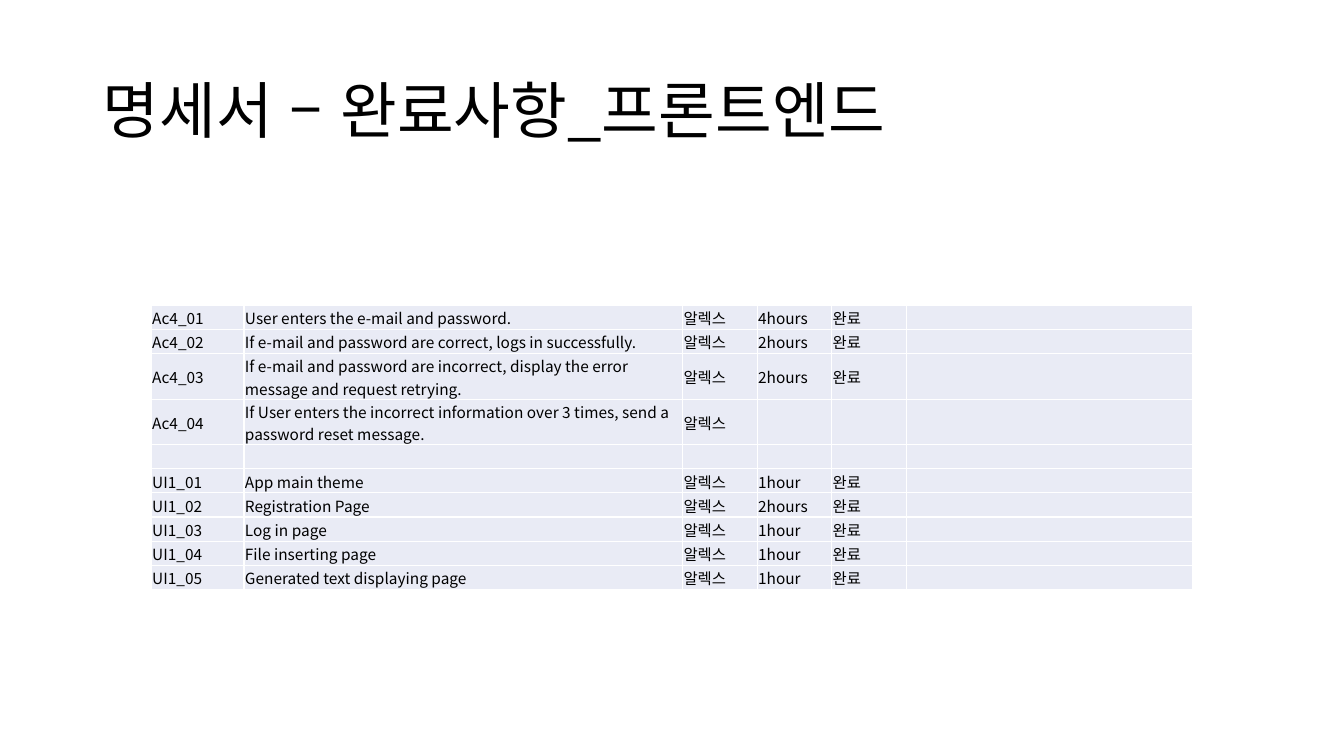
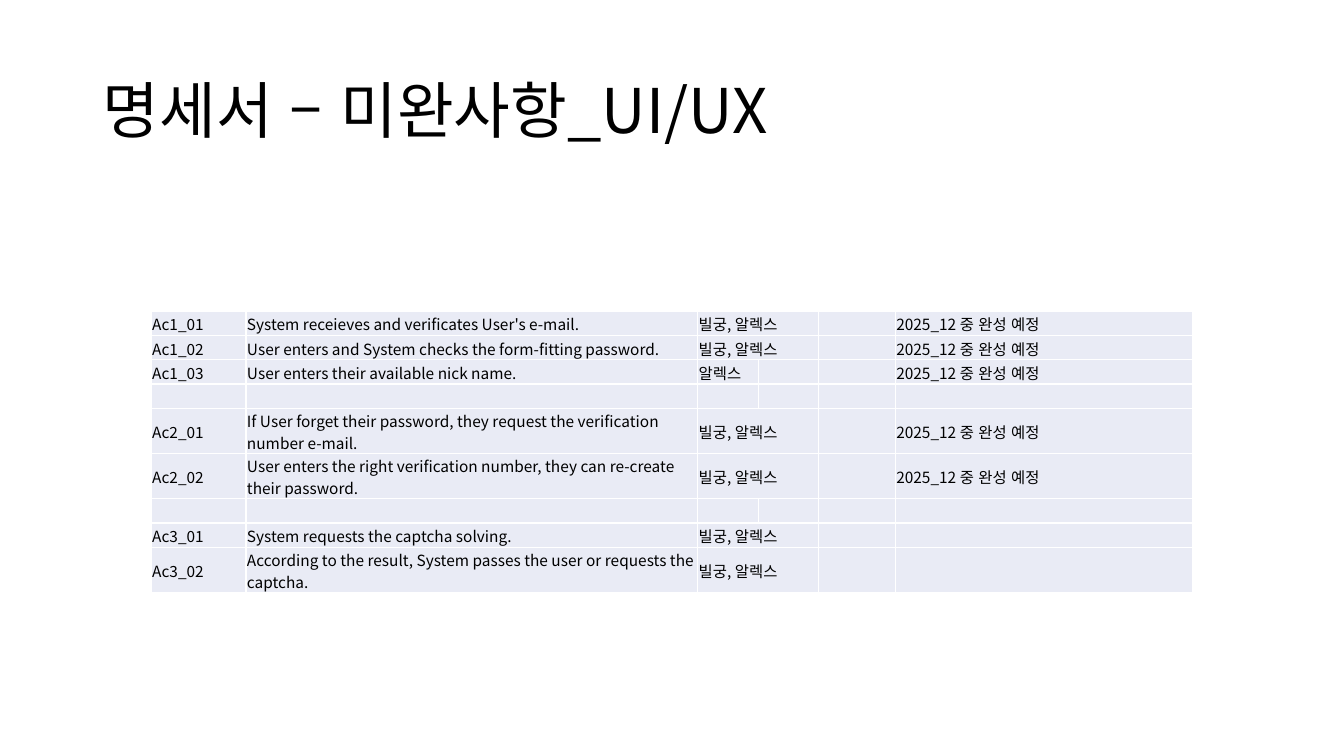
from lxml import etree
from pptx import Presentation
from pptx.dml import color
from pptx.enum import lang, text
from pptx.oxml import ns
from pptx.util import Inches, Pt

THEME = {
    "font": "Noto Sans CJK KR",
    "ink": "000000",
    "cell": "E9EBF5",
    "rule": "FFFFFF",
    "title": 44,
    "body": 11,
}


def style(par, size):
    for run in par.runs:
        run.font.size = Pt(size)
        run.font.language_id = lang.MSO_LANGUAGE_ID.KOREAN
        run.font.color.rgb = color.RGBColor.from_string(THEME["ink"])
        run.font.name = THEME["font"]
        etree.SubElement(run.font._element, ns.qn("a:ea"), typeface=THEME["font"])
    if not par.runs:
        etree.SubElement(par._p, ns.qn("a:endParaRPr"), sz=str(size * 100))


def dress(cell, words):
    cell.margin_left = cell.margin_right = cell.margin_top = Inches(0.01)
    cell.margin_bottom = 0
    cell.vertical_anchor = text.MSO_ANCHOR.MIDDLE
    cell.text_frame.text = words
    style(cell.text_frame.paragraphs[0], THEME["body"])
    props = cell._tc.get_or_add_tcPr()
    for side in ("lnL", "lnR", "lnT", "lnB"):
        line = etree.SubElement(props, ns.qn("a:" + side), w=str(Pt(1)))
        fill = etree.SubElement(line, ns.qn("a:solidFill"))
        etree.SubElement(fill, ns.qn("a:srgbClr"), val=THEME["rule"])
    cell.fill.solid()
    cell.fill.fore_color.rgb = color.RGBColor.from_string(THEME["cell"])


LINE = 60
LOW, HIGH = 0.24, 0.45
ALEX = "알렉스"
BOTH = "빌궁, 알렉스"
DONE = "완료"
DUE = "2025_12 중 완성 예정"
GAP = ("",) * 6

PAGES = [
    {
        "title": "명세서 – 완료사항_프론트엔드",
        "top": 3.03,
        "cols": [0.92, 4.35, 0.74, 0.74, 0.74, 2.84],
        "rows": [
            ("Ac4_01", "User enters the e-mail and password.", ALEX, "4hours", DONE, ""),
            ("Ac4_02", "If e-mail and password are correct, logs in successfully.",
             ALEX, "2hours", DONE, ""),
            ("Ac4_03", "If e-mail and password are incorrect, display the error "
             "message and request retrying.", ALEX, "2hours", DONE, ""),
            ("Ac4_04", "If User enters the incorrect information over 3 times, "
             "send a password reset message.", ALEX, "", "", ""),
            GAP,
            ("UI1_01", "App main theme", ALEX, "1hour", DONE, ""),
            ("UI1_02", "Registration Page", ALEX, "2hours", DONE, ""),
            ("UI1_03", "Log in page", ALEX, "1hour", DONE, ""),
            ("UI1_04", "File inserting page", ALEX, "1hour", DONE, ""),
            ("UI1_05", "Generated text displaying page", ALEX, "1hour", DONE, ""),
        ],
    },
    {
        "title": "명세서 – 미완사항_UI/UX",
        "top": 3.09,
        "cols": [0.94, 4.48, 0.6, 0.6, 0.76, 2.95],
        "rows": [
            ("Ac1_01", "System receieves and verificates User's e-mail.",
             BOTH, "", "", DUE),
            ("Ac1_02", "User enters and System checks the form-fitting password.",
             BOTH, "", "", DUE),
            ("Ac1_03", "User enters their available nick name.", ALEX, "", "", DUE),
            GAP,
            ("Ac2_01", "If User forget their password, they request the "
             "verification number e-mail.", BOTH, "", "", DUE),
            ("Ac2_02", "User enters the right verification number, they can "
             "re-create their password.", BOTH, "", "", DUE),
            GAP,
            ("Ac3_01", "System requests the captcha solving.", BOTH, "", "", ""),
            ("Ac3_02", "According to the result, System passes the user or "
             "requests the captcha.", BOTH, "", "", ""),
        ],
    },
]

deck = Presentation()
deck.slide_width = Inches(13.33)
deck.slide_height = Inches(7.5)

for page in PAGES:
    slide = deck.slides.add_slide(deck.slide_layouts[6])
    box = slide.shapes.add_textbox(Inches(0.92), Inches(0.4), Inches(11.5), Inches(1.45))
    frame = box.text_frame
    frame.word_wrap = True
    frame.vertical_anchor = text.MSO_ANCHOR.MIDDLE
    frame.text = page["title"]
    frame.paragraphs[0].line_spacing = 0.9
    style(frame.paragraphs[0], THEME["title"])

    rows, cols = page["rows"], page["cols"]
    highs = [HIGH if len(row[1]) > LINE else LOW for row in rows]
    grid = slide.shapes.add_table(
        len(rows), len(cols), Inches(1.5), Inches(page["top"]),
        Inches(sum(cols)), Inches(sum(highs))).table
    grid.first_row = grid.horz_banding = False
    for col, width in zip(grid.columns, cols):
        col.width = Inches(width)
    for r, row in enumerate(rows):
        grid.rows[r].height = Inches(highs[r])
        for c, words in enumerate(row):
            dress(grid.cell(r, c), words)
        if row[2] == BOTH:
            grid.cell(r, 2).merge(grid.cell(r, 3))

deck.save("out.pptx")
